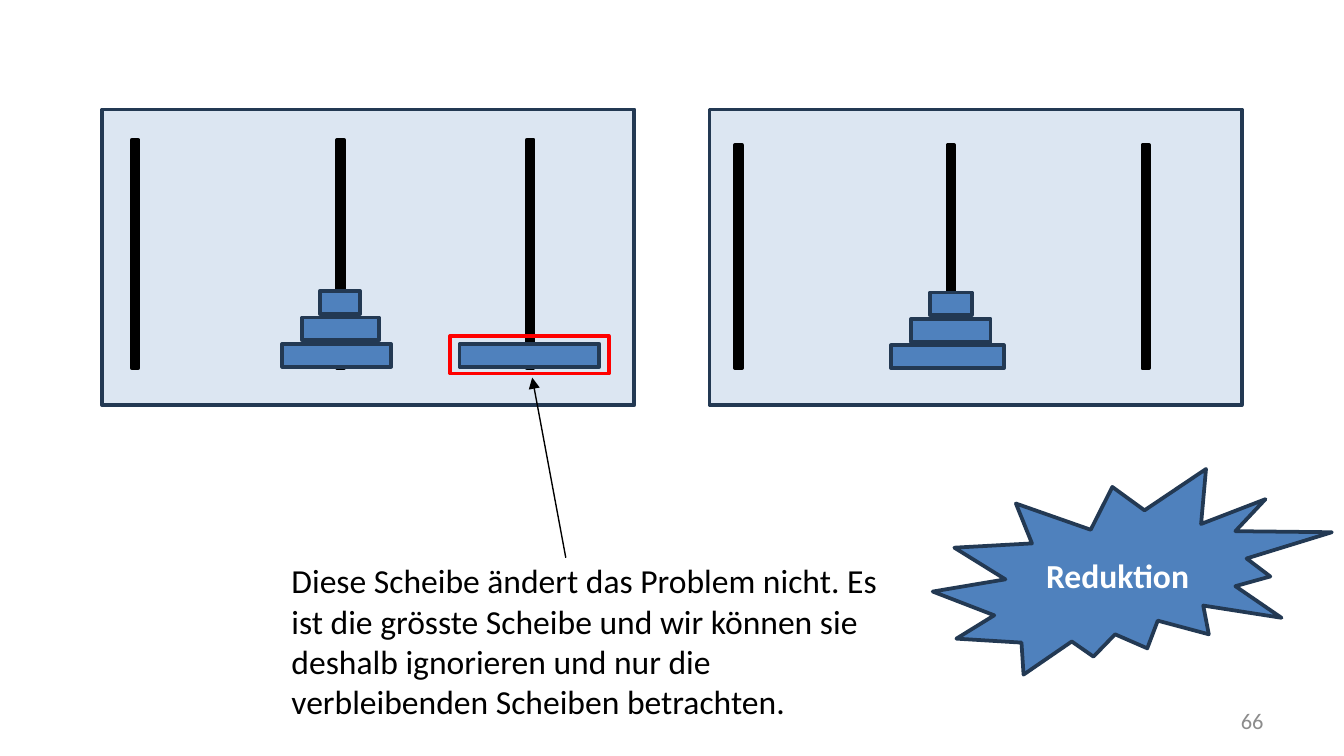
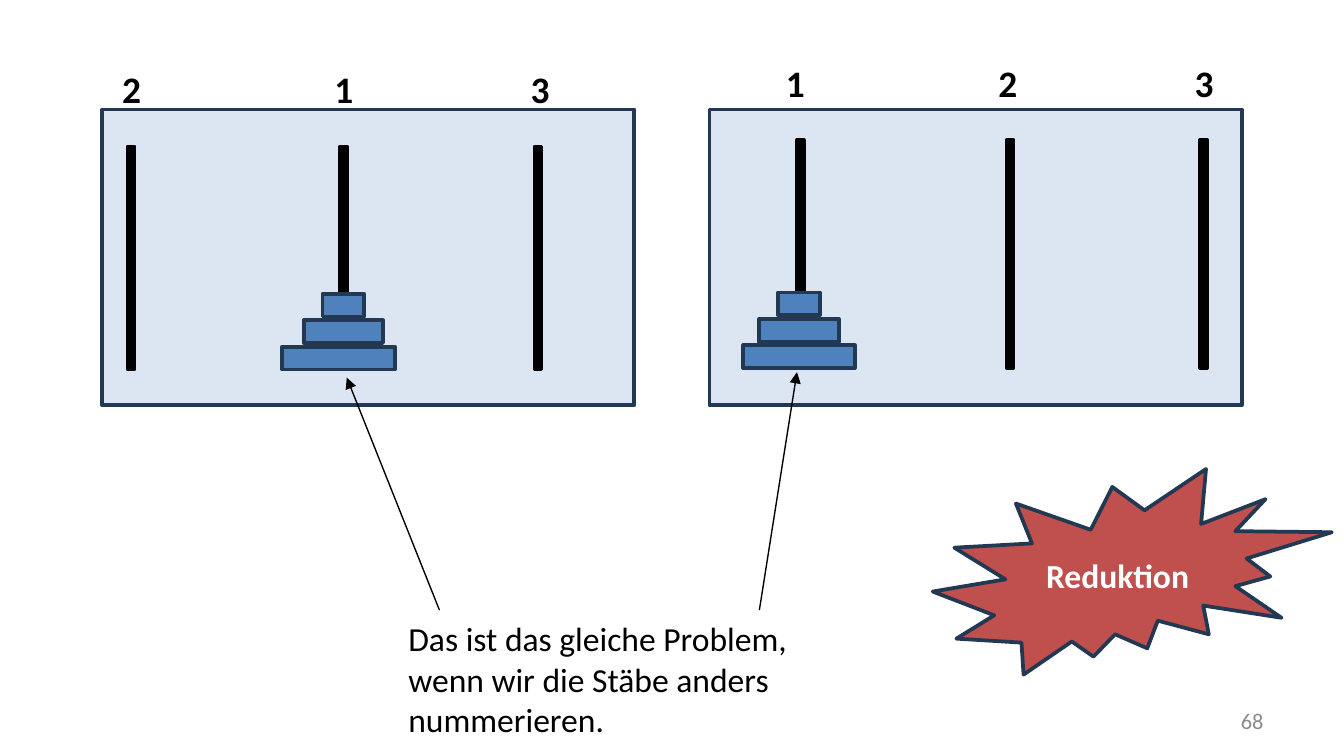
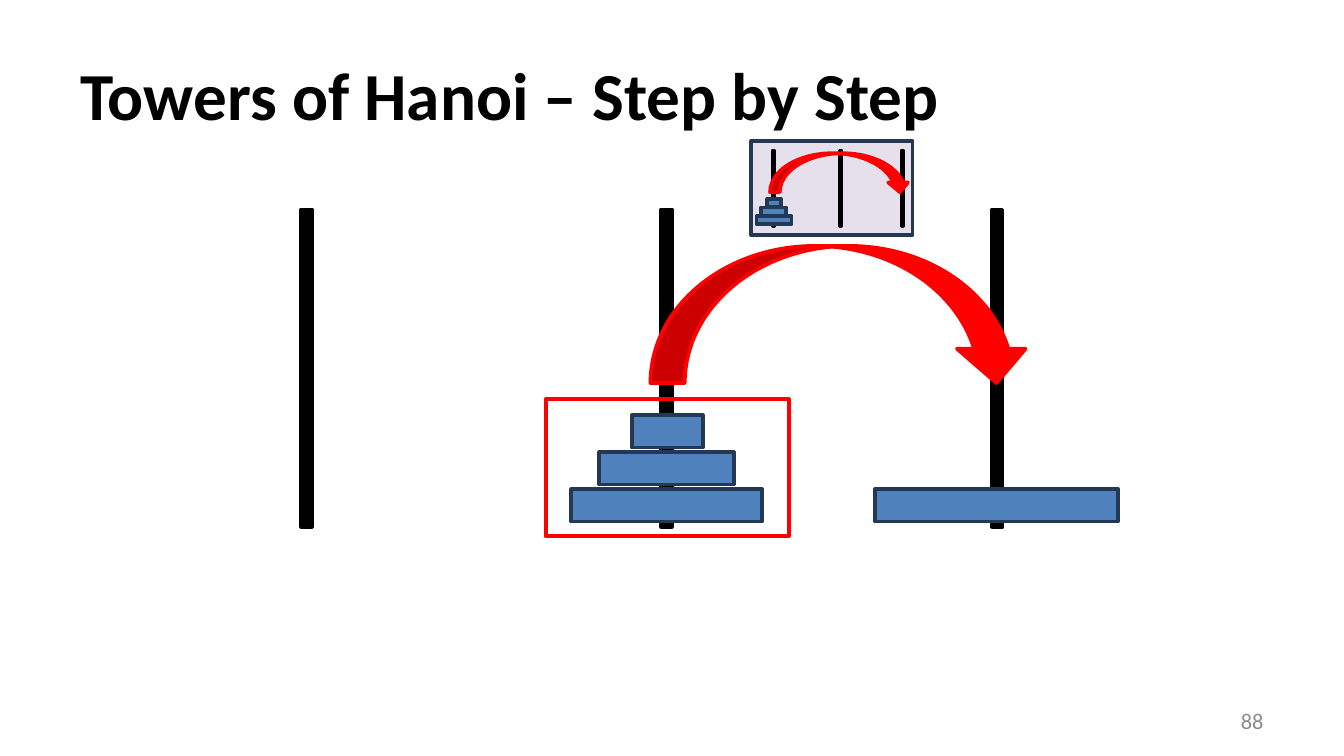
from lxml.etree import SubElement
from pptx import Presentation
from pptx.dml.color import RGBColor
from pptx.enum.shapes import MSO_CONNECTOR, MSO_SHAPE
from pptx.enum.text import MSO_ANCHOR, PP_ALIGN
from pptx.oxml.ns import qn
from pptx.util import Inches, Pt

CELL = Inches(0.1)
COLUMNS, ROWS = 100, 56.25

FONT = "Calibri"
BLACK = RGBColor(0x00, 0x00, 0x00)
WHITE = RGBColor(0xFF, 0xFF, 0xFF)
GREY = RGBColor(0x8C, 0x8C, 0x8C)
NAVY = RGBColor(0x23, 0x39, 0x53)
BLUE = RGBColor(0x4F, 0x81, 0xBD)
BRICK = RGBColor(0xC0, 0x50, 0x4D)
RED = RGBColor(0xFF, 0x00, 0x00)
PALE_BLUE = RGBColor(0xDC, 0xE6, 0xF2)
PALE_LILAC = RGBColor(0xE6, 0xE0, 0xEC)

PEG_WIDTH = 0.5
DISC_HEIGHT, DISC_STEP = 1.7, 1.97
LABEL_STOPS = (15.8, 30.4)


def cells(*counts):
    """Turn grid counts into slide lengths."""
    return [round(count * CELL) for count in counts]


def block(shapes, area, fill, line, kind=MSO_SHAPE.RECTANGLE):
    """Add a preset shape over a grid area; a fill of None leaves it open."""
    shape = shapes.add_shape(kind, *cells(*area))
    shape.shadow.inherit = False
    if fill is None:
        shape.fill.background()
    else:
        shape.fill.solid()
        shape.fill.fore_color.rgb = fill
    shape.line.color.rgb = line
    shape.line.width = Pt(2)
    return shape


def style(paragraph, size, color, bold=False, align=PP_ALIGN.LEFT):
    """Set the font and alignment of a paragraph."""
    paragraph.alignment = align
    paragraph.font.name = FONT
    paragraph.font.size = Pt(size)
    paragraph.font.color.rgb = color
    paragraph.font.bold = bold


def write(slide, area, text, size, color=BLACK, bold=False,
          align=PP_ALIGN.LEFT, anchor=MSO_ANCHOR.TOP, stops=()):
    """Add a wrapped text box, with tab stops where given."""
    frame = slide.shapes.add_textbox(*cells(*area)).text_frame
    frame.word_wrap = True
    frame.vertical_anchor = anchor
    paragraph = frame.paragraphs[0]
    paragraph.text = text
    if stops:
        tabs = SubElement(paragraph._p.get_or_add_pPr(), qn("a:tabLst"))
        for stop in cells(*stops):
            SubElement(tabs, qn("a:tab"), pos=str(stop), algn="l")
    style(paragraph, size, color, bold, align)


def pegs(shapes, lefts, top, height, width=PEG_WIDTH):
    """Stand equal black pegs side by side."""
    for left in lefts:
        block(shapes, (left, top, width, height), BLACK, BLACK)


def tower(shapes, discs, base, height=DISC_HEIGHT, step=DISC_STEP):
    """Stack discs, given as left and width, from the base upwards."""
    for level, (left, width) in enumerate(discs):
        block(shapes, (left, base - level * step, width, height), BLUE, NAVY)


def puzzle(slide, left, peg_lefts, peg_top, peg_height, towers, base):
    """Draw a framed puzzle as one group."""
    group = slide.shapes.add_group_shape().shapes
    block(group, (left, 8.15, 39.6, 22), PALE_BLUE, NAVY)
    pegs(group, peg_lefts, peg_top, peg_height)
    for discs in towers:
        tower(group, discs, base)


def highlight(slide, area):
    """Frame an area in red."""
    block(slide.shapes, area, None, RED)


def move(shapes, area):
    """Add a red curved arrow that shows a move."""
    block(shapes, area, RED, RED, MSO_SHAPE.CURVED_DOWN_ARROW)


def pointer(slide, start, end):
    """Draw a thin arrow from the caption to its subject."""
    arrow = slide.shapes.add_connector(MSO_CONNECTOR.STRAIGHT, *cells(*start, *end))
    arrow.line.color.rgb = BLACK
    arrow.line.width = Pt(0.75)
    SubElement(arrow.line._get_or_add_ln(), qn("a:tailEnd"), type="triangle")
    SubElement(arrow._element.spPr, qn("a:effectLst"))


def reduction_burst(slide, fill):
    """Add the burst that names the reduction."""
    burst = block(slide.shapes, (69.4, 34.9, 29.7, 15.3), fill, NAVY, MSO_SHAPE.EXPLOSION2)
    burst.text_frame.vertical_anchor = MSO_ANCHOR.MIDDLE
    paragraph = burst.text_frame.paragraphs[0]
    paragraph.text = "Reduktion"
    style(paragraph, 18, WHITE, True, PP_ALIGN.CENTER)


def peg_labels(slide, left, top, numbers):
    """Number the three pegs above a puzzle."""
    write(slide, (left, top, 35, 4.4), "\t".join(numbers), 20, bold=True, stops=LABEL_STOPS)


def numbered_slide(deck, number):
    """Add a blank slide with its page number."""
    slide = deck.slides.add_slide(deck.slide_layouts[6])
    write(slide, (71.7, 52.1, 23.3, 3), str(number), 12, GREY,
          align=PP_ALIGN.RIGHT, anchor=MSO_ANCHOR.MIDDLE)
    return slide


def largest_disc_slide(deck):
    """Show that the largest disc can be ignored."""
    slide = numbered_slide(deck, 66)
    small_discs = [(21, 8.1), (22.5, 5.7), (23.8, 3)]
    puzzle(slide, 7.6, (9.8, 25.1, 39.2), 10.4, 17, [[(34.2, 10.4)], small_discs], 25.6)
    puzzle(slide, 52.8, (54.7, 70.5, 85), 10.8, 16.6,
           [[(66.3, 8.4), (67.8, 5.9), (69.2, 3.1)]], 25.7)
    highlight(slide, (33.5, 25, 11.8, 2.8))
    pointer(slide, (42.1, 41.5), (39.6, 28.1))
    write(slide, (20.7, 41.2, 47.2, 13.1),
          "Diese Scheibe ändert das Problem nicht. Es ist die grösste Scheibe und "
          "wir können sie deshalb ignorieren und nur die verbleibenden Scheiben "
          "betrachten.", 18)
    reduction_burst(slide, BLUE)


def renumbered_pegs_slide(deck):
    """Show that renumbering the pegs gives the same problem."""
    slide = numbered_slide(deck, 68)
    puzzle(slide, 7.6, (9.5, 25.3, 39.8), 10.9, 16.6,
           [[(21, 8.4), (22.6, 5.9), (24, 3.1)]], 25.8)
    puzzle(slide, 52.8, (59.3, 74.9, 89.3), 10.4, 17,
           [[(55.3, 8.3), (56.5, 5.9), (57.9, 3.1)]], 25.7)
    peg_labels(slide, 8.1, 4.4, "213")
    peg_labels(slide, 57.5, 4, "123")
    pointer(slide, (32.7, 45.4), (25.8, 28.1))
    pointer(slide, (56.5, 45.4), (59.3, 27.7))
    write(slide, (29.4, 45.5, 36, 10.1),
          "Das ist das gleiche Problem, wenn wir die Stäbe anders nummerieren.", 18)
    reduction_burst(slide, BRICK)


def step_by_step_slide(deck):
    """Show the tower moving as one step."""
    slide = numbered_slide(deck, 88)
    shapes = slide.shapes
    pegs(shapes, (22.4, 49.2, 73.8), 15.6, 23.6, 0.8)
    write(slide, (5, 2.3, 90, 9.4), "Towers of Hanoi – Step by Step", 36,
          bold=True, anchor=MSO_ANCHOR.MIDDLE)
    for discs in ([(65.1, 18.1)], [(42.5, 14.2), (44.6, 10), (47, 5.3)]):
        tower(shapes, discs, 36.4, 2.4, 2.75)
    highlight(slide, (40.6, 29.7, 18.1, 10.2))
    move(shapes, (48.4, 18.3, 28.3, 10.2))
    inset = shapes.add_group_shape().shapes
    block(inset, (55.9, 10.5, 12, 7), PALE_LILAC, NAVY)
    pegs(inset, (57.5, 62.5, 67.1), 11.2, 5.6, 0.1)
    tower(inset, [(56.3, 2.6), (56.6, 1.9), (57.1, 1)], 16.1, 0.6, 0.65)
    move(inset, (57.3, 11.4, 10.4, 2.9))


def main():
    """Build the three slides and save them."""
    deck = Presentation()
    deck.slide_width, deck.slide_height = cells(COLUMNS, ROWS)
    largest_disc_slide(deck)
    renumbered_pegs_slide(deck)
    step_by_step_slide(deck)
    deck.save("out.pptx")


if __name__ == "__main__":
    main()
